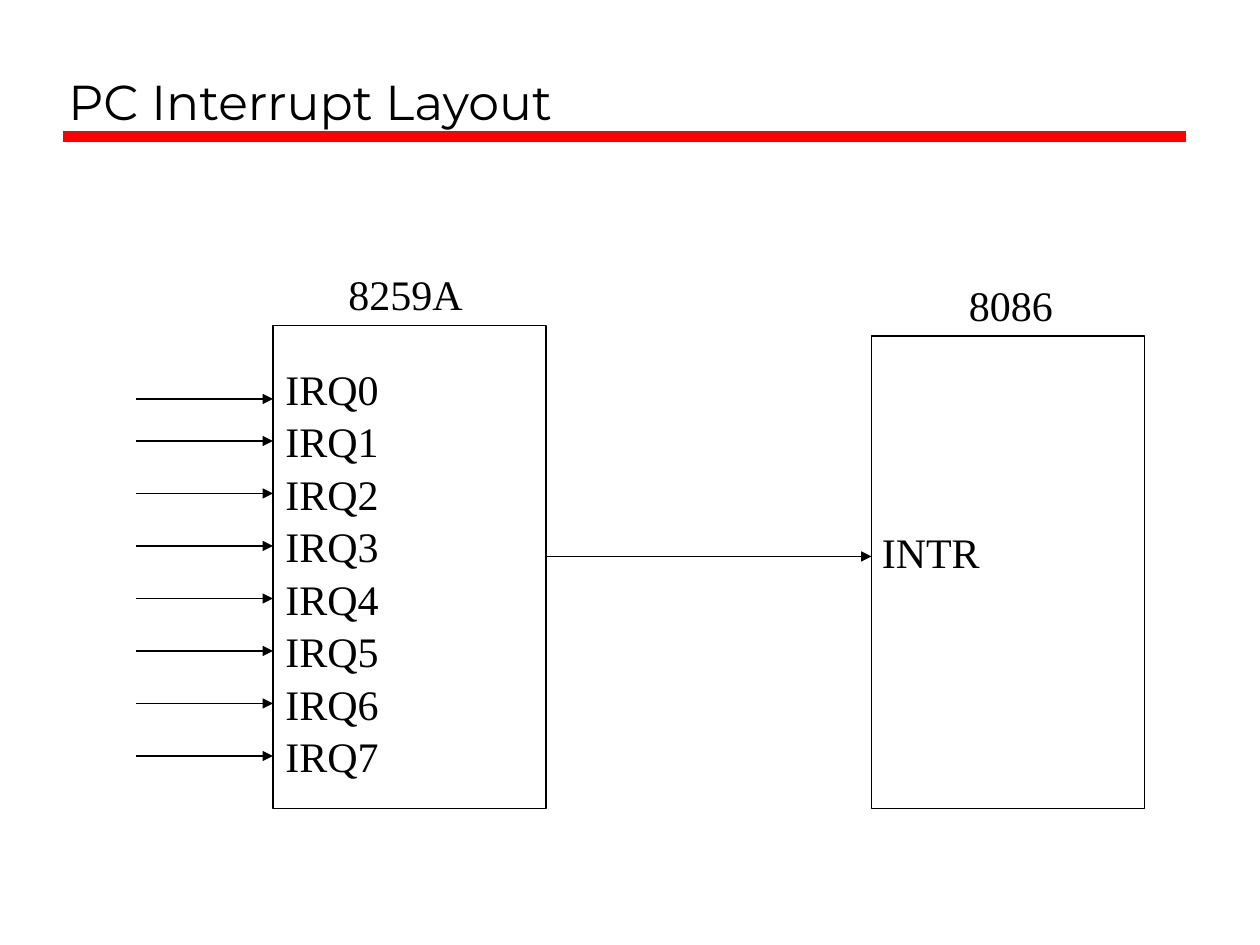
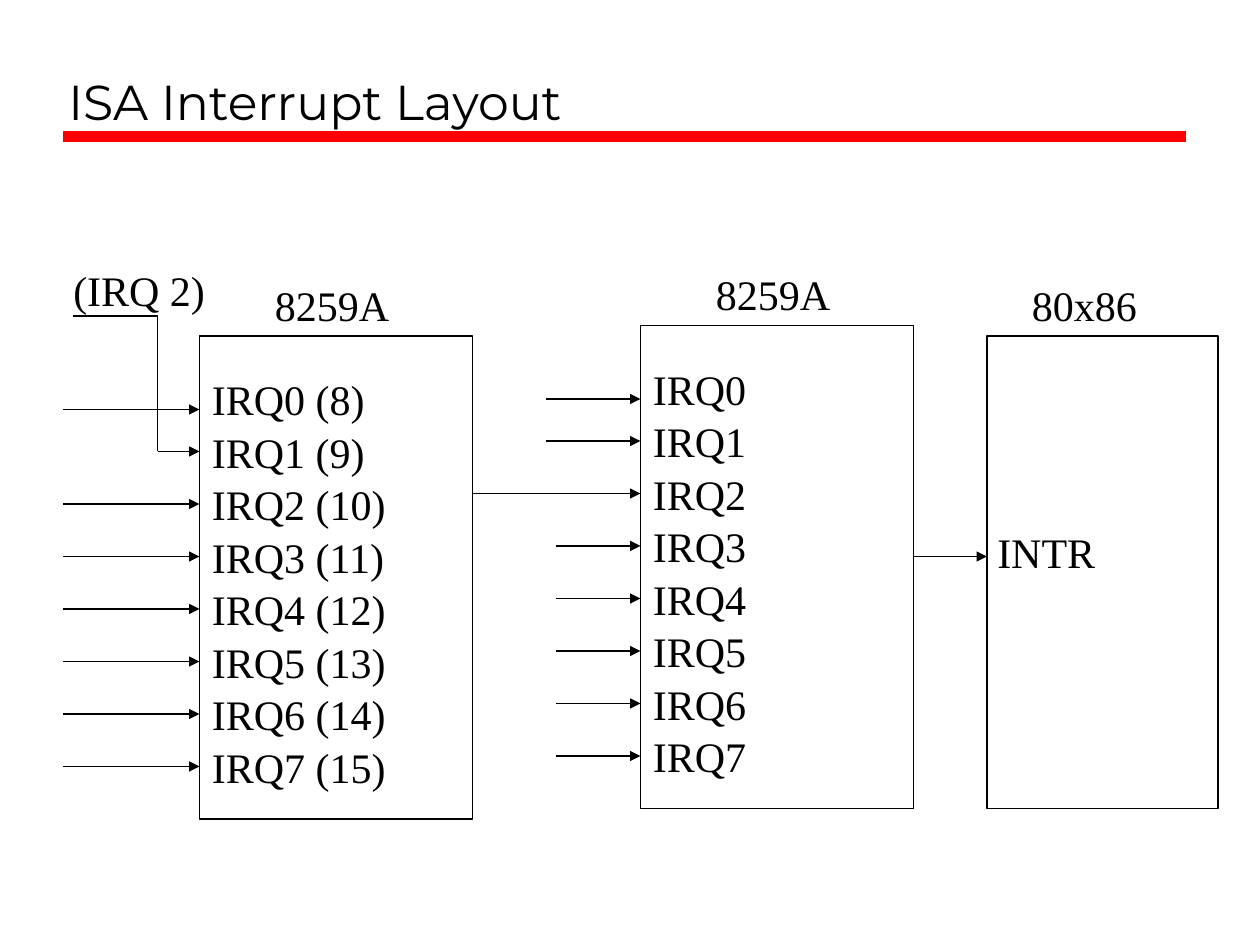
"""Build two slides that show how interrupt controllers feed a processor."""
from lxml.etree import SubElement
from pptx import Presentation
from pptx.dml.color import RGBColor
from pptx.enum.shapes import MSO_CONNECTOR, MSO_SHAPE
from pptx.enum.text import MSO_ANCHOR, MSO_AUTO_SIZE, PP_ALIGN
from pptx.oxml.ns import qn
from pptx.util import Inches, Pt

BLACK = RGBColor(0x00, 0x00, 0x00)
RED = RGBColor(0xFF, 0x00, 0x00)

SLIDE_WIDTH, SLIDE_HEIGHT = Inches(10), Inches(7.5)
COLUMNS, ROWS = 120, 90

TITLE_FONT = {"name": "Montserrat", "size": Pt(28), "bold": False}
LABEL_FONT = {"name": "Times New Roman", "size": Pt(24)}
TITLE_FRAME = {
    "vertical_anchor": MSO_ANCHOR.BOTTOM,
    "auto_size": MSO_AUTO_SIZE.NONE,
    "word_wrap": True,
}
LABEL_FRAME = {"word_wrap": False, "auto_size": MSO_AUTO_SIZE.SHAPE_TO_FIT_TEXT}

TITLE_AREA = (5.3, 2, 107.7, 11)
RULE = ((6, 13), (113, 13))

EM_COLUMNS = 4
LABEL_PADDING = 2.4
LABEL_ROWS = 6
LETTER_WIDTHS = {
    "I": 0.33, "R": 0.67, "Q": 0.72, "A": 0.72, "N": 0.72,
    "T": 0.61, "(": 0.33, ")": 0.33, " ": 0.25,
}
DIGIT_WIDTH = 0.5

PIN_PITCH = 5
FIRST_PIN_LABEL = 3
PIN_ARROWS = [7] + [6 + PIN_PITCH * pin for pin in range(1, 8)]
HEADING_RISE = 6
INTR_ARROW_ROW, INTR_LABEL_ROW = 53, 49.6

PRIMARY_PINS = [f"IRQ{pin}" for pin in range(8)]
SECONDARY_PINS = [f"IRQ{pin} ({pin + 8})" for pin in range(8)]

SLIDES = [
    {
        "title": "PC Interrupt Layout",
        "controllers": [
            {"area": (26, 31, 26, 46), "pins": PRIMARY_PINS, "starts": [13] * 8},
        ],
        "processor": {"name": "8086", "area": (83, 32, 26, 45), "heading": 91.1},
        "intr_start": 52,
    },
    {
        "title": "ISA Interrupt Layout",
        "controllers": [
            {"area": (61, 31, 26, 46), "pins": PRIMARY_PINS,
             "starts": [52, 52, 45] + [53] * 5},
            {"area": (19, 32, 26, 46), "pins": SECONDARY_PINS,
             "starts": [6, 15] + [6] * 6},
        ],
        "processor": {"name": "80x86", "area": (94, 32, 22, 45), "heading": 97.1},
        "intr_start": 87,
        "rerouted": {
            "name": "(IRQ 2)",
            "label": (5.8, 24.6),
            "bends": [(15, 43), (15, 30.1), (7, 30.1)],
        },
    },
]


def across(columns):
    return round(SLIDE_WIDTH * columns / COLUMNS)


def down(rows):
    return round(SLIDE_HEIGHT * rows / ROWS)


def place(left, top, width, height):
    return across(left), down(top), across(width), down(height)


def apply(target, values):
    for name, value in values.items():
        setattr(target, name, value)


def add_line(slide, start, end, color=BLACK, weight=1, arrow=False):
    connector = slide.shapes.add_connector(
        MSO_CONNECTOR.STRAIGHT,
        across(start[0]), down(start[1]), across(end[0]), down(end[1]),
    )
    connector.line.color.rgb = color
    connector.line.width = Pt(weight)
    if arrow:
        SubElement(connector.line._get_or_add_ln(), qn("a:tailEnd"), type="triangle")
    SubElement(connector.element.spPr, qn("a:effectLst"))
    return connector


def add_label(slide, text, left, top):
    ems = sum(LETTER_WIDTHS.get(letter, DIGIT_WIDTH) for letter in text)
    width = LABEL_PADDING + EM_COLUMNS * ems
    label = slide.shapes.add_textbox(*place(left, top, width, LABEL_ROWS))
    apply(label.text_frame, LABEL_FRAME)
    paragraph = label.text_frame.paragraphs[0]
    paragraph.text = text
    apply(paragraph.font, LABEL_FONT)
    paragraph.font.color.rgb = BLACK


def add_chip(slide, name, area, heading):
    chip = slide.shapes.add_shape(MSO_SHAPE.RECTANGLE, *place(*area))
    chip.shadow.inherit = False
    chip.fill.background()
    chip.line.color.rgb = BLACK
    chip.line.width = Pt(1)
    add_label(slide, name, heading, area[1] - HEADING_RISE)


def add_controller(slide, area, pins, starts):
    left, top = area[:2]
    add_chip(slide, "8259A", area, left + 6)
    for index, (pin, start, offset) in enumerate(zip(pins, starts, PIN_ARROWS)):
        row = top + offset
        add_line(slide, (start, row), (left, row), arrow=True)
        add_label(slide, pin, left, top + FIRST_PIN_LABEL + PIN_PITCH * index)


def add_title(slide, text):
    title = slide.shapes.title
    title.left, title.top, title.width, title.height = place(*TITLE_AREA)
    apply(title.text_frame, TITLE_FRAME)
    paragraph = title.text_frame.paragraphs[0]
    paragraph.text = text
    paragraph.alignment = PP_ALIGN.LEFT
    apply(paragraph.font, TITLE_FONT)
    paragraph.font.color.rgb = BLACK


def add_layout_slide(presentation, content):
    slide = presentation.slides.add_slide(presentation.slide_layouts[5])
    add_line(slide, *RULE, color=RED, weight=6)
    add_title(slide, content["title"])
    for controller in content["controllers"]:
        add_controller(slide, **controller)
    processor = content["processor"]
    add_chip(slide, **processor)
    left = processor["area"][0]
    add_label(slide, "INTR", left - 0.2, INTR_LABEL_ROW)
    add_line(slide, (content["intr_start"], INTR_ARROW_ROW),
             (left, INTR_ARROW_ROW), arrow=True)
    if "rerouted" in content:
        rerouted = content["rerouted"]
        bends = rerouted["bends"]
        for start, end in zip(bends, bends[1:]):
            add_line(slide, start, end)
        add_label(slide, rerouted["name"], *rerouted["label"])


def main():
    presentation = Presentation()
    presentation.slide_width = SLIDE_WIDTH
    presentation.slide_height = SLIDE_HEIGHT
    for content in SLIDES:
        add_layout_slide(presentation, content)
    presentation.save("out.pptx")


if __name__ == "__main__":
    main()
